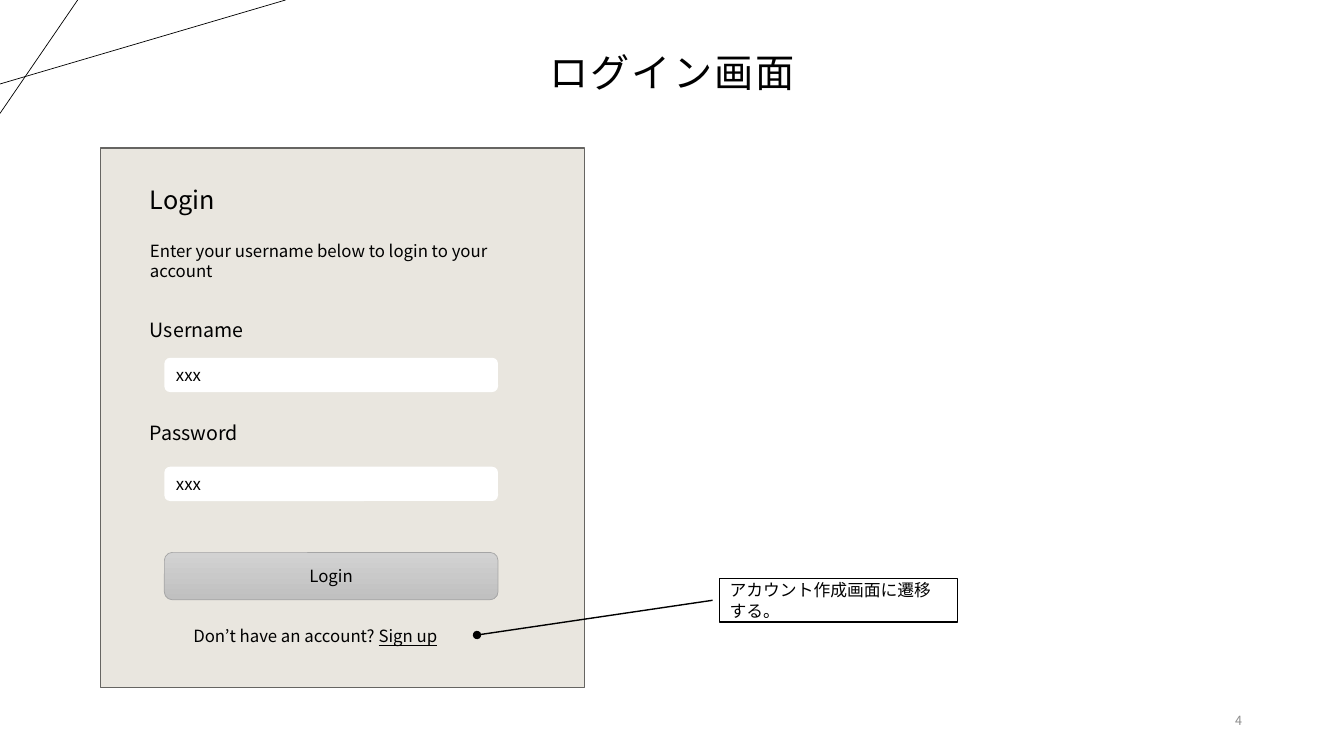
from lxml import etree
from pptx import Presentation
from pptx.dml.color import RGBColor
from pptx.enum.shapes import MSO_CONNECTOR, MSO_SHAPE
from pptx.enum.text import MSO_ANCHOR as ANCHOR, MSO_AUTO_SIZE as AUTO_SIZE, PP_ALIGN as ALIGN
from pptx.oxml.ns import qn
from pptx.util import Pt

FONT = "Noto Sans CJK JP"
COLORS = {
    "text": "000000",
    "number": "8C8C8C",
    "panel": "E9E6DF",
    "panel_line": "666562",
    "white": "FFFFFF",
    "button_top": "D2D2D2",
    "button_bottom": "C0C0C0",
    "button_line": "A5A5A5",
}
LABEL_LEFT = 100
FIELD_LEFT, FIELD_WIDTH = 117.4, 238.3


def rgb(name):
    return RGBColor.from_string(COLORS[name])


def place(shape, left, top, width, height):
    shape.left, shape.top = Pt(left), Pt(top)
    shape.width, shape.height = Pt(width), Pt(height)


def write(shape, runs, size, color="text", align=ALIGN.LEFT, anchor=ANCHOR.TOP):
    """Fill the shape with one paragraph made of the given run texts."""
    frame = shape.text_frame
    frame.word_wrap = True
    frame.auto_size = AUTO_SIZE.NONE
    frame.vertical_anchor = anchor
    paragraph = frame.paragraphs[0]
    paragraph.alignment = align
    for text in runs:
        paragraph.add_run().text = text
    font = paragraph.font
    font.name, font.size = FONT, Pt(size)
    font.color.rgb = rgb(color)
    properties = paragraph._p.pPr.find(qn("a:defRPr"))
    east_asian = etree.Element(qn("a:ea"), typeface=FONT)
    properties.find(qn("a:latin")).addnext(east_asian)
    return paragraph


def add_text(slide, box, runs, size, **options):
    return write(slide.shapes.add_textbox(*map(Pt, box)), runs, size, **options)


def add_box(slide, kind, box, fill=None, line=None, line_width=1):
    shape = slide.shapes.add_shape(kind, *map(Pt, box))
    shape.shadow.inherit = False
    if fill:
        shape.fill.solid()
        shape.fill.fore_color.rgb = rgb(fill)
    if line:
        shape.line.color.rgb = rgb(line)
        shape.line.width = Pt(line_width)
    else:
        shape.line.fill.background()
    return shape


def add_corner_line(slide, *ends):
    connector = slide.shapes.add_connector(MSO_CONNECTOR.STRAIGHT, *map(Pt, ends))
    connector.line.color.rgb = rgb("text")
    connector.line.width = Pt(0.5)
    etree.SubElement(connector._element.spPr, qn("a:effectLst"))


def add_title(slide, text):
    title = slide.shapes.title
    place(title, 66.2, 28.1, 828, 43.9)
    paragraph = write(title, [text], 28, align=ALIGN.CENTER, anchor=ANCHOR.BOTTOM)
    paragraph.line_spacing = 0.9
    paragraph._p.pPr.find(qn("a:defRPr")).set("spc", "150")


def add_field(slide, label, label_top, field_top):
    add_text(slide, (LABEL_LEFT, label_top, 96.5, 24.5), [label], 14)
    field = add_box(slide, MSO_SHAPE.ROUNDED_RECTANGLE,
                    (FIELD_LEFT, field_top, FIELD_WIDTH, 24.5), "white")
    write(field, ["xxx"], 12)


def add_button(slide, text):
    button = add_box(slide, MSO_SHAPE.ROUNDED_RECTANGLE,
                     (FIELD_LEFT, 394.6, FIELD_WIDTH, 33.8),
                     line="button_line", line_width=0.5)
    button.fill.gradient()
    button.fill.gradient_angle = 270
    for stop, color, position in zip(button.fill.gradient_stops,
                                     ("button_top", "button_bottom"), (0, 1)):
        stop.color.rgb = rgb(color)
        stop.position = position
    write(button, [text], 12, align=ALIGN.CENTER, anchor=ANCHOR.MIDDLE)


def add_callout(slide, text):
    callout = add_box(slide, MSO_SHAPE.LINE_CALLOUT_1, (514.1, 413.3, 170, 31),
                      "white", "text")
    for index, value in enumerate((0.5, -0.03, 1.3, -1.02)):
        callout.adjustments[index] = value
    etree.SubElement(callout.line._get_or_add_ln(), qn("a:tailEnd"), type="oval")
    write(callout, [text], 12, anchor=ANCHOR.MIDDLE)


def main():
    presentation = Presentation()
    presentation.slide_width, presentation.slide_height = Pt(960), Pt(540)
    slide = presentation.slides.add_slide(presentation.slide_layouts[5])

    add_corner_line(slide, 0, 60, 204, 0)
    add_corner_line(slide, 55.5, 0, 0, 81)
    add_title(slide, "ログイン画面")
    add_text(slide, (816.5, 500.4, 77.8, 28.8), ["4"], 9, color="number",
             align=ALIGN.RIGHT, anchor=ANCHOR.MIDDLE)

    add_box(slide, MSO_SHAPE.RECTANGLE, (72, 105.8, 345.6, 385.2), "panel", "panel_line")
    add_text(slide, (LABEL_LEFT, 128.2, 96.5, 28.8), ["Login"], 18)
    add_text(slide, (LABEL_LEFT, 168.5, 294.5, 36),
             ["Enter your username below to login to your account"], 12)
    add_field(slide, "Username", 223.9, 255.6)
    add_field(slide, "Password", 297.4, 333.4)
    add_button(slide, "Login")
    sign_up = add_text(slide, (131, 443.5, 209.5, 21.6),
                       ["Don’t have an account? ", "Sign up"], 12)
    sign_up.runs[1].font.underline = True
    add_callout(slide, "アカウント作成画面に遷移する。")

    presentation.save("out.pptx")


if __name__ == "__main__":
    main()
